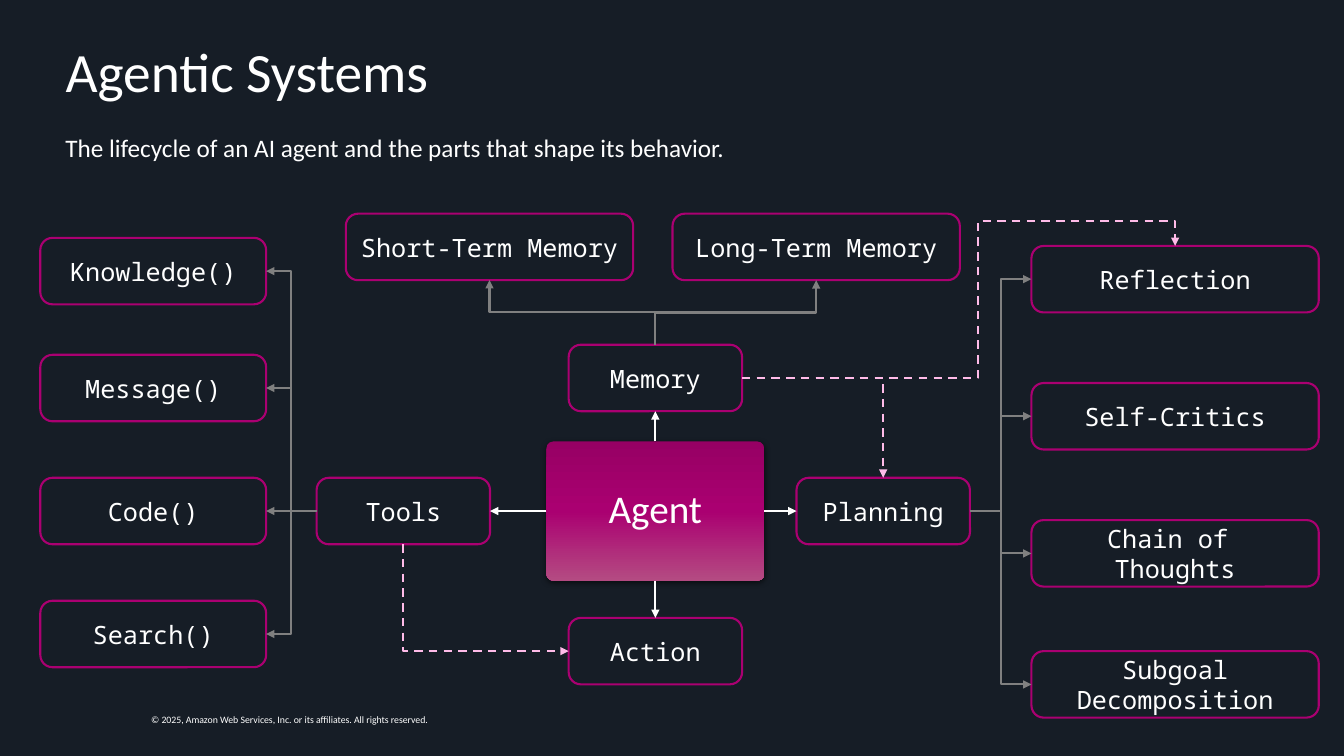
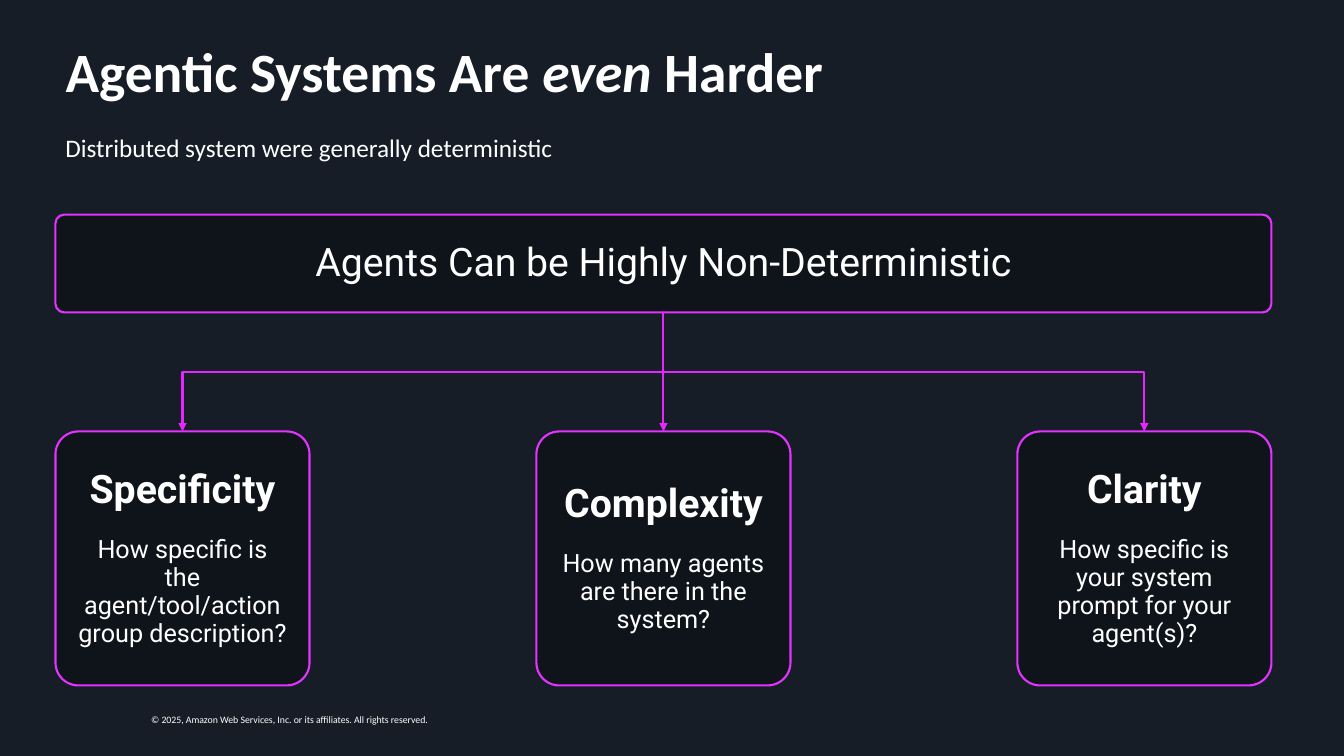
from copy import deepcopy

from lxml import etree
from pptx import Presentation
from pptx import util as u
from pptx.dml.color import RGBColor
from pptx.enum import dml, shapes, text
from pptx.oxml import ns

BACKGROUND = RGBColor(0x16, 0x1D, 0x26)
WHITE = RGBColor(0xFF, 0xFF, 0xFF)
BLACK = RGBColor(0, 0, 0)
GRAY = RGBColor(0x80, 0x80, 0x80)
PINK = RGBColor(0xFF, 0xBB, 0xE8)
MAGENTA = RGBColor(0xAA, 0x00, 0x71)
DARK_MAGENTA = RGBColor(0x97, 0x00, 0x64)
LIGHT_MAGENTA = RGBColor(0xB4, 0x4B, 0x82)
CARD_LINE = RGBColor(0xE3, 0x33, 0xFF)
CARD_ARROW = RGBColor(0xE5, 0x26, 0xFF)

TOP, LEFT, BOTTOM, RIGHT = range(4)
LINE_WIDTH = u.Pt(1.5)
TITLE_FONT = {"name": "Calibri", "size": u.Pt(39.6)}
SUBTITLE_FONT = {"name": "Calibri", "size": u.Pt(18)}
FOOTER_FONT = {"name": "Calibri", "size": u.Pt(7)}
AGENT_FONT = {"name": "Calibri", "size": u.Pt(28)}
NODE_FONT = {"name": "Noto Sans Mono", "size": u.Pt(18)}
HEADING_FONT = {"name": "Roboto", "size": u.Pt(28)}
CARD_FONT = {"name": "Roboto", "size": u.Pt(18)}
FOOTER = "© 2025, Amazon Web Services, Inc. or its affiliates. All rights reserved."
CENTERED = {"alignment": text.PP_ALIGN.CENTER}
TIGHT = {**CENTERED, "line_spacing": 0.9}


def apply(target, values):
    for name, value in values.items():
        setattr(target, name, value)


def child(parent, tag, **attributes):
    return etree.SubElement(parent, ns.qn(tag), attributes)


def set_insets(frame, side, end):
    apply(frame, {"margin_left": u.Inches(side), "margin_right": u.Inches(side),
                  "margin_top": u.Inches(end), "margin_bottom": u.Inches(end)})


def add_run(paragraph, words, font):
    run = paragraph.add_run()
    run.text = words
    apply(run.font, font)
    run.font.color.rgb = WHITE


def write(frame, lines):
    frame.word_wrap = True
    for index, (words, font, layout) in enumerate(lines):
        paragraph = frame.add_paragraph() if index else frame.paragraphs[0]
        apply(paragraph, layout)
        add_run(paragraph, words, font)


def add_text(slide, bounds, words, font):
    box = slide.shapes.add_textbox(*map(u.Inches, bounds))
    write(box.text_frame, [(words, font, {})])
    return box


def add_box(slide, bounds, roundness, lines, line_color=None):
    box = slide.shapes.add_shape(
        shapes.MSO_SHAPE.ROUNDED_RECTANGLE, *map(u.Inches, bounds))
    box.adjustments[0] = roundness
    box.shadow.inherit = False
    box.fill.background()
    if line_color is None:
        box.line.fill.background()
    else:
        box.line.color.rgb = line_color
        box.line.width = LINE_WIDTH
    box.text_frame.vertical_anchor = text.MSO_ANCHOR.MIDDLE
    write(box.text_frame, lines)
    return box


def add_node(slide, left, top, width, *lines):
    return add_box(slide, (left, top, width, 0.66), 0.184,
                   [(words, NODE_FONT, CENTERED) for words in lines], MAGENTA)


def add_agent(slide):
    agent = add_box(slide, (5.42, 4.38, 2.16, 1.38), 0.048,
                    [("Agent", AGENT_FONT, TIGHT)])
    agent.fill.gradient()
    agent.fill.gradient_angle = 270
    properties = agent.element.spPr
    stops = properties.find(".//" + ns.qn("a:gsLst"))
    stops.append(deepcopy(stops[0]))
    colors = (DARK_MAGENTA, MAGENTA, LIGHT_MAGENTA)
    for index, (stop, color) in enumerate(zip(agent.fill.gradient_stops, colors)):
        stop.color.rgb = color
        stop.position = index / 2
    shadow = child(properties.find(ns.qn("a:effectLst")), "a:outerShdw",
                   blurRad=str(u.Pt(4.5)), dist=str(u.Pt(1.5)), dir="5400000")
    color = child(shadow, "a:srgbClr", val=str(BLACK))
    child(color, "a:alpha", val="63000")
    return agent


def add_panel(slide, bounds, lines, inset=0.0):
    panel = add_box(slide, bounds, 0.09, lines, CARD_LINE)
    panel.fill.solid()
    panel.fill.fore_color.rgb = BLACK
    color = panel.element.spPr.find(ns.qn("a:solidFill"))[0]
    child(color, "a:alpha", val="30000")
    set_insets(panel.text_frame, inset, 0.16)
    return panel


def side_middle(shape, side):
    across = {LEFT: 0, RIGHT: 2}.get(side, 1)
    down = {TOP: 0, BOTTOM: 2}.get(side, 1)
    return (shape.left + shape.width * across // 2,
            shape.top + shape.height * down // 2)


def style_arrow(connector, color, dashed=False):
    connector.line.color.rgb = color
    connector.line.width = LINE_WIDTH
    if dashed:
        connector.line.dash_style = dml.MSO_LINE.DASH
    properties = connector.element.spPr
    child(properties.find(ns.qn("a:ln")), "a:tailEnd", type="triangle")
    child(properties, "a:effectLst")


def add_arrow(slide, source, source_side, target, target_side, color):
    connector = slide.shapes.add_connector(
        shapes.MSO_CONNECTOR.STRAIGHT,
        *side_middle(source, source_side), *side_middle(target, target_side))
    connector.begin_connect(source, source_side)
    connector.end_connect(target, target_side)
    style_arrow(connector, color)


def add_elbow(slide, source, source_side, target, target_side, color,
              dashed=False, preset="bentConnector3", adjustments=()):
    x1, y1 = side_middle(source, source_side)
    x2, y2 = side_middle(target, target_side)
    rotation = 0
    if source_side in (TOP, BOTTOM):
        rotation = 90 if y2 > y1 else 270
        center_x, center_y = (x1 + x2) // 2, (y1 + y2) // 2
        half_width, half_height = abs(y2 - y1) // 2, abs(x2 - x1) // 2
        if (x2 > x1) == (y2 > y1):
            half_height = -half_height
        x1, x2 = center_x - half_width, center_x + half_width
        y1, y2 = center_y - half_height, center_y + half_height
    connector = slide.shapes.add_connector(
        shapes.MSO_CONNECTOR.ELBOW, x1, y1, x2, y2)
    properties = connector.element.spPr
    if rotation:
        properties.find(ns.qn("a:xfrm")).set("rot", str(rotation * 60000))
    geometry = properties.find(ns.qn("a:prstGeom"))
    geometry.set("prst", preset)
    for number, value in enumerate(adjustments, 1):
        child(geometry.find(ns.qn("a:avLst")), "a:gd",
              name=f"adj{number}", fmla=f"val {round(value * 100000)}")
    style_arrow(connector, color, dashed)


def prepare_layout(layout):
    layout.background.fill.solid()
    layout.background.fill.fore_color.rgb = BACKGROUND
    apply(layout.placeholders[0], {
        "left": u.Inches(0.55), "top": u.Inches(0.41),
        "width": u.Inches(11.52), "height": u.Inches(0.66)})


def add_footer(layout, slide):
    footer = add_text(slide, (1.5, 7.08, 4.33, 0.12), FOOTER, FOOTER_FONT)
    set_insets(footer.text_frame, 0, 0)
    layout.shapes.element.append(footer.element)


def add_slide(presentation, layout, title_runs, subtitle):
    slide = presentation.slides.add_slide(layout)
    frame = slide.shapes.title.text_frame
    apply(frame, {"auto_size": text.MSO_AUTO_SIZE.NONE,
                  "vertical_anchor": text.MSO_ANCHOR.MIDDLE})
    paragraph = frame.paragraphs[0]
    apply(paragraph, {"alignment": text.PP_ALIGN.LEFT, "line_spacing": 0.9})
    for words, style in title_runs:
        add_run(paragraph, words, {**TITLE_FONT, **style})
    add_text(slide, (0.55, 1.26, 11.52, 0.4), subtitle, SUBTITLE_FONT)
    return slide


def draw_lifecycle(slide):
    agent = add_agent(slide)
    planning = add_node(slide, 7.9, 4.74, 1.72, "Planning")
    memory = add_node(slide, 5.64, 3.42, 1.72, "Memory")
    tools = add_node(slide, 3.14, 4.74, 1.72, "Tools")
    action = add_node(slide, 5.64, 6.13, 1.72, "Action")
    for side, node in ((RIGHT, planning), (TOP, memory),
                       (LEFT, tools), (BOTTOM, action)):
        add_arrow(slide, agent, side, node, (side + 2) % 4, WHITE)

    for left, words in ((3.43, "Short-Term Memory"), (6.67, "Long-Term Memory")):
        node = add_node(slide, left, 2.12, 2.85, words)
        add_elbow(slide, memory, TOP, node, BOTTOM, GRAY)

    plans = ((2.44, ["Reflection"]), (3.8, ["Self-Critics"]),
             (5.16, ["Chain of ", "Thoughts"]), (6.46, ["Subgoal Decomposition"]))
    plan_nodes = [add_node(slide, 10.23, top, 2.85, *lines) for top, lines in plans]
    for node in plan_nodes:
        add_elbow(slide, planning, RIGHT, node, LEFT, GRAY)

    for top, words in ((2.36, "Knowledge()"), (3.52, "Message()"),
                       (4.74, "Code()"), (5.96, "Search()")):
        node = add_node(slide, 0.4, top, 2.24, words)
        connect = add_arrow if node.top == tools.top else add_elbow
        connect(slide, tools, LEFT, node, RIGHT, GRAY)

    add_elbow(slide, tools, BOTTOM, action, LEFT, PINK, True, "bentConnector2")
    add_elbow(slide, memory, RIGHT, plan_nodes[0], TOP, PINK, True,
              "bentConnector4", (0.545, 1.19))
    add_elbow(slide, memory, RIGHT, planning, TOP, PINK, True, "bentConnector2")


def draw_challenges(slide):
    banner = add_panel(slide, (0.55, 2.13, 12.06, 0.97), [
        ("Agents Can be Highly Non-Deterministic", HEADING_FONT, TIGHT)])
    questions = (
        ("Specificity", "How specific is the agent/tool/action group description?"),
        ("Complexity", "How many agents are there in the system?"),
        ("Clarity", "How specific is your system prompt for your agent(s)?"))
    question_layout = {**CENTERED, "line_spacing": u.Pt(20), "space_before": u.Pt(17)}
    for index, (heading, question) in enumerate(questions):
        card = add_panel(slide, (0.55 + index * 4.77, 4.28, 2.52, 2.52), [
            (heading, {**HEADING_FONT, "bold": True}, TIGHT),
            (question, CARD_FONT, question_layout)], 0.15)
        connect = add_arrow if index == 1 else add_elbow
        connect(slide, banner, BOTTOM, card, TOP, CARD_ARROW)


def main():
    presentation = Presentation()
    presentation.slide_width = u.Inches(13.33)
    presentation.slide_height = u.Inches(7.5)
    layout = presentation.slide_layouts[5]
    prepare_layout(layout)
    lifecycle = add_slide(
        presentation, layout, [("Agentic Systems", {})],
        "The lifecycle of an AI agent and the parts that shape its behavior.")
    add_footer(layout, lifecycle)
    draw_lifecycle(lifecycle)
    challenges = add_slide(
        presentation, layout,
        [("Agentic Systems Are ", {"bold": True}),
         ("even", {"bold": True, "italic": True}), (" Harder", {"bold": True})],
        "Distributed system were generally deterministic")
    draw_challenges(challenges)
    presentation.save("out.pptx")


if __name__ == "__main__":
    main()
